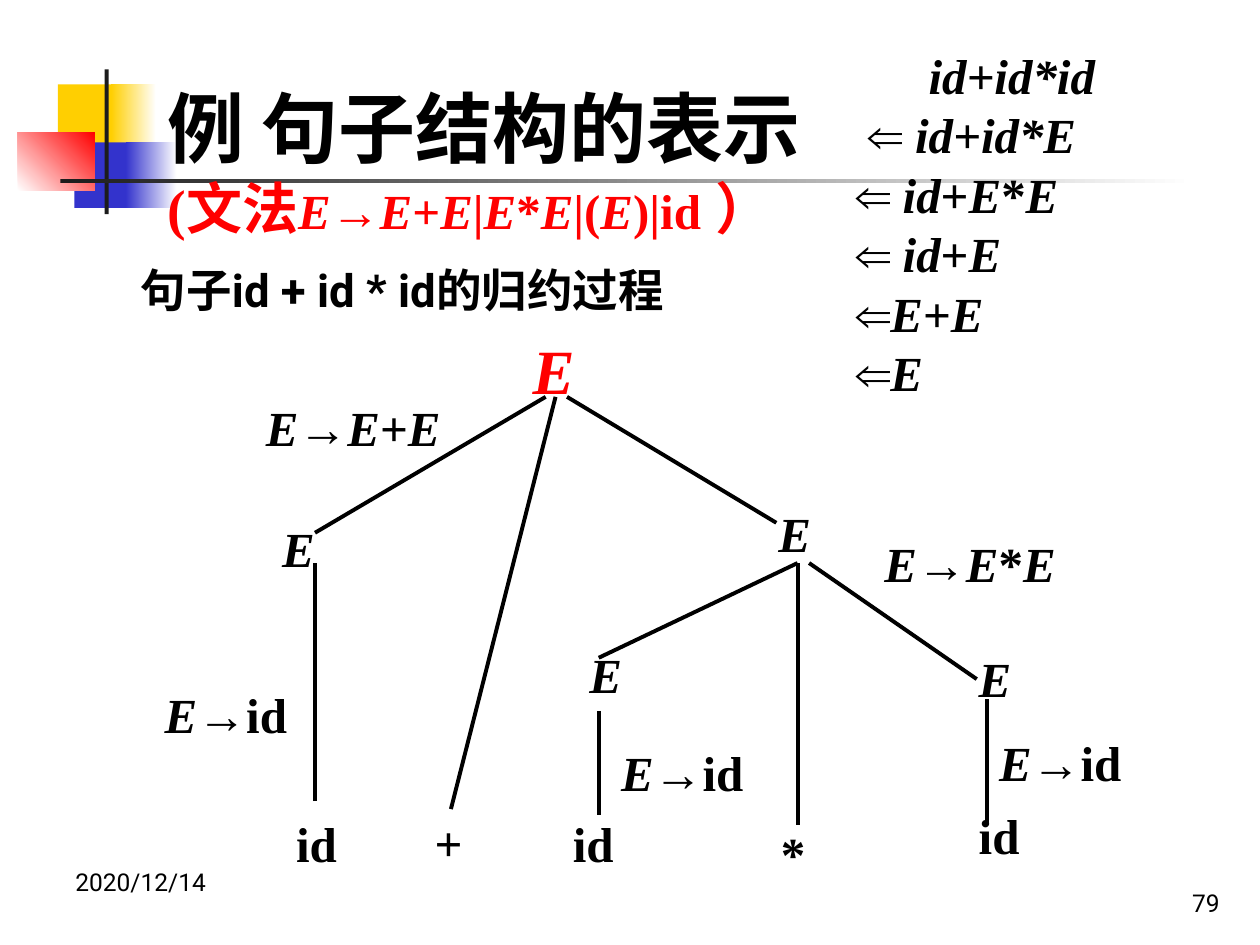
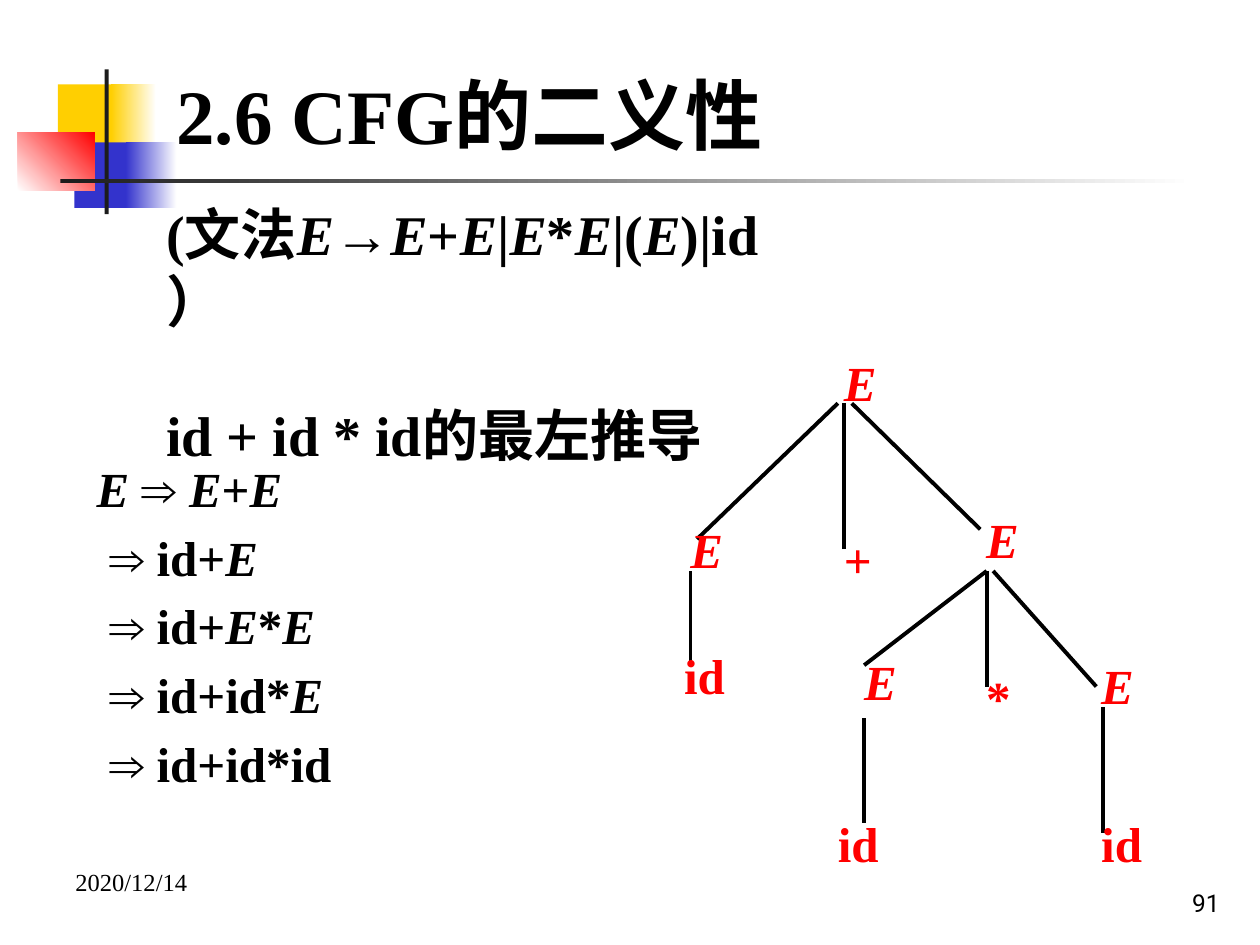
import pptx
import pptx.util
import pptx.dml.color
import pptx.enum.shapes
import pptx.enum.text
import pptx.oxml.ns
from lxml import etree

Cm = pptx.util.Cm
Pt = pptx.util.Pt
RGB = pptx.dml.color.RGBColor
PP_ALIGN = pptx.enum.text.PP_ALIGN
ANCHOR = pptx.enum.text.MSO_ANCHOR

COLORS = {
    "black": "000000",
    "red": "FF0000",
    "white": "FFFFFF",
    "yellow": "FFCF01",
    "blue": "3333CC",
    "charcoal": "1C1C1C",
}
SERIF = "Times New Roman"
SANS = "Roboto"
GRAMMAR = "_E_→_E_+_E_|_E_*_E_|(_E_)|id"


def write(paragraph, text, size, color="black", font=SERIF, bold=True):
    for index, piece in enumerate(text.split("_")):
        if piece:
            run = paragraph.add_run()
            run.text = piece
            run.font.name = font
            run.font.size = Pt(size)
            run.font.bold = bold and "⇐" not in piece
            run.font.italic = index % 2 == 1
            run.font.color.rgb = RGB.from_string(COLORS[color])


def add_text(slide, box, lines, size, color="black", font=SERIF, bold=True):
    frame = slide.shapes.add_textbox(*map(Cm, box)).text_frame
    frame.word_wrap = True
    for index, line in enumerate(lines):
        paragraph = frame.add_paragraph() if index else frame.paragraphs[0]
        write(paragraph, line, size, color, font, bold)
    return frame


deck = pptx.Presentation()
deck.slide_width, deck.slide_height = Cm(25.4), Cm(19.05)
layout = deck.slide_layouts[5]

reduction_slide = deck.slides.add_slide(layout)
ambiguity_slide = deck.slides.add_slide(layout)

ornaments = [
    ((1.17, 1.7, 1.22, 1.32), ["yellow"], 0),
    ((2.24, 1.7, 0.91, 1.32), ["yellow", "white"], 0),
    ((1.5, 2.87, 1.17, 1.32), ["blue"], 0),
    ((2.54, 2.87, 1.02, 1.32), ["blue", "white"], 0),
    ((0.36, 2.67, 1.55, 1.17), ["white", "red"], 45),
    ((2.11, 1.4, 0.08, 2.92), ["charcoal"], 0),
    ((1.22, 3.61, 22.86, 0.08), ["charcoal", "white"], 0),
]
for number, (box, shades, angle) in enumerate(ornaments, 20):
    ornament = reduction_slide.shapes.add_shape(
        pptx.enum.shapes.MSO_SHAPE.RECTANGLE, *map(Cm, box))
    ornament.shadow.inherit = False
    ornament.line.fill.background()
    if len(shades) == 1:
        ornament.fill.solid()
        ornament.fill.fore_color.rgb = RGB.from_string(COLORS[shades[0]])
    else:
        ornament.fill.gradient()
        ornament.fill.gradient_angle = angle
        for stop, shade in zip(ornament.fill.gradient_stops, shades):
            stop.color.rgb = RGB.from_string(COLORS[shade])
    ornament.element.xpath(".//p:cNvPr")[0].set("id", str(number))
    layout.shapes.element.append(ornament.element)

headings = [
    (reduction_slide, (3.12, 1.75, 17.58, 2.97), "例 句子结构的表示", SANS, "79"),
    (ambiguity_slide, (3.3, 0.71, 21.59, 3.18), "2.6 CFG的二义性", SERIF, "91"),
]
for slide, box, heading, date_font, page in headings:
    title = slide.shapes.title
    title.left, title.top, title.width, title.height = map(Cm, box)
    title.text_frame.auto_size = pptx.enum.text.MSO_AUTO_SIZE.NONE
    title.text_frame.vertical_anchor = ANCHOR.MIDDLE
    title.text_frame.paragraphs[0].alignment = PP_ALIGN.LEFT
    write(title.text_frame.paragraphs[0], heading, 44)
    add_text(slide, (1.27, 17.35, 5.92, 1.32), ["2020/12/14"], 14,
             font=date_font, bold=False)
    page_number = add_text(slide, (19.56, 17.35, 5.28, 1.27), [page], 14,
                           font=SANS, bold=False)
    page_number.vertical_anchor = ANCHOR.BOTTOM
    page_number.paragraphs[0].alignment = PP_ALIGN.RIGHT

grammar_line = reduction_slide.shapes.title.text_frame.paragraphs[0]
grammar_line.add_line_break()
write(grammar_line, "(文法", 32, "red")
write(grammar_line, GRAMMAR, 28, "red")
write(grammar_line, " ）", 32, "red")

sentence = add_text(reduction_slide, (2.59, 5.16, 12.04, 1.37),
                    ["句子id + id * id的归约过程"], 26, font=SANS)
sentence.word_wrap = False

reductions = add_text(reduction_slide, (16.99, 1.27, 7.44, 7.52), [
    "_id+id*id_",
    "⇐ _id+id*E_",
    "⇐ _id_+_E_*_E_",
    "⇐ _id_+_E_",
    "⇐_E_+_E_",
    "⇐_E_",
], 28)
for index, step in enumerate(reductions.paragraphs):
    step.line_spacing = Pt(20)
    step.space_before = Pt(14 if index else 0)
for step, indent in zip(reductions.paragraphs, (1.48, 0.25)):
    step._p.get_or_add_pPr().set("marL", str(Cm(indent)))

grammar = add_text(ambiguity_slide, (3.1, 3.89, 12.45, 4.37),
                   [f"(文法{GRAMMAR} ）", "id + id * id的最左推导"], 32)
grammar.paragraphs[1].space_before = Pt(38.5)

derivation = add_text(ambiguity_slide, (1.7, 9.12, 8, 7.21), [
    "_E_ ⇒ _E_+_E_",
    "⇒ id+_E_",
    "⇒ id+_E_*_E_",
    "⇒ id+id*_E_",
    "⇒ id+id*id",
], 28)
for step in derivation.paragraphs[1:]:
    step.space_before = Pt(5.6)
    step._p.get_or_add_pPr().set("marL", str(Cm(0.25)))

reduction_branches = [
    (6.35, 10.74, 11, 8), (15.65, 10.54, 11.43, 8), (9.09, 16.31, 11.2, 8),
    (6.35, 16.15, 6.35, 11.35), (12.07, 13.26, 16.08, 11.35),
    (16.08, 11.35, 16.08, 16.64), (16.31, 11.35, 19.69, 13.69),
    (12.07, 14.33, 12.07, 16.43), (19.89, 14.1, 19.89, 16.64),
]
derivation_branches = [
    (17.42, 14.48, 17.42, 16.59), (22.23, 14.25, 22.23, 16.79),
    (17.42, 13.41, 19.89, 11.51), (19.89, 11.51, 19.89, 13.84),
    (20.02, 11.51, 22.1, 13.84), (13.92, 13.41, 13.92, 11.51),
    (14.05, 10.87, 16.89, 8.13), (19.76, 10.67, 17.17, 8.13),
    (17.02, 11.07, 17.02, 8.13),
]
reduction_nodes = [
    ("_E_", 5.44, 10.21), ("+", 8.51, 16.13), ("_E_", 15.44, 9.91),
    ("id", 5.72, 16.15), ("_E_", 11.63, 12.75), ("_E_", 19.48, 12.83),
    ("*", 15.49, 16.36), ("id", 11.3, 16.15), ("id", 19.48, 16),
]
derivation_nodes = [
    ("_E_", 16.76, 6.86), ("_E_", 13.67, 10.24), ("+", 16.76, 10.44),
    ("_E_", 19.63, 10.03), ("_E_", 17.17, 12.9), ("_E_", 21.95, 12.98),
    ("id", 13.54, 12.78), ("*", 19.63, 13.21), ("id", 21.95, 16.15),
    ("id", 16.64, 16.15),
]
trees = [
    (reduction_slide, reduction_branches, reduction_nodes, 3.18, "black"),
    (ambiguity_slide, derivation_branches, derivation_nodes, 1.96, "red"),
]
for slide, branches, nodes, width, color in trees:
    for ends in branches:
        branch = slide.shapes.add_connector(
            pptx.enum.shapes.MSO_CONNECTOR.STRAIGHT, *map(Cm, ends))
        branch.line.color.rgb = RGB.from_string(COLORS["black"])
        branch.line.width = Pt(2.25)
        etree.SubElement(branch.element.spPr, pptx.oxml.ns.qn("a:effectLst"))
    for symbol, left, top in nodes:
        node = add_text(slide, (left, top, width, 1.55), [symbol], 28, color)
        node.paragraphs[0].line_spacing = 1.1

root = add_text(reduction_slide, (10.49, 6.4, 3.18, 1.93), ["_E_"], 36, "red")
root.paragraphs[0].line_spacing = 1.1

rules = [
    ("_E_→_E_+_E_", 5.11, 7.77, 4.42),
    ("_E_→id", 3.07, 13.56, 3.23),
    ("_E_→_E_*_E_", 17.58, 10.52, 4.01),
    ("_E_→id", 12.27, 14.73, 3.43),
    ("_E_→id", 19.89, 14.53, 3.18),
]
for rule, left, top, width in rules:
    production = add_text(reduction_slide, (left, top, width, 1.55), [rule], 28)
    production.paragraphs[0].line_spacing = 1.1

deck.save("out.pptx")
